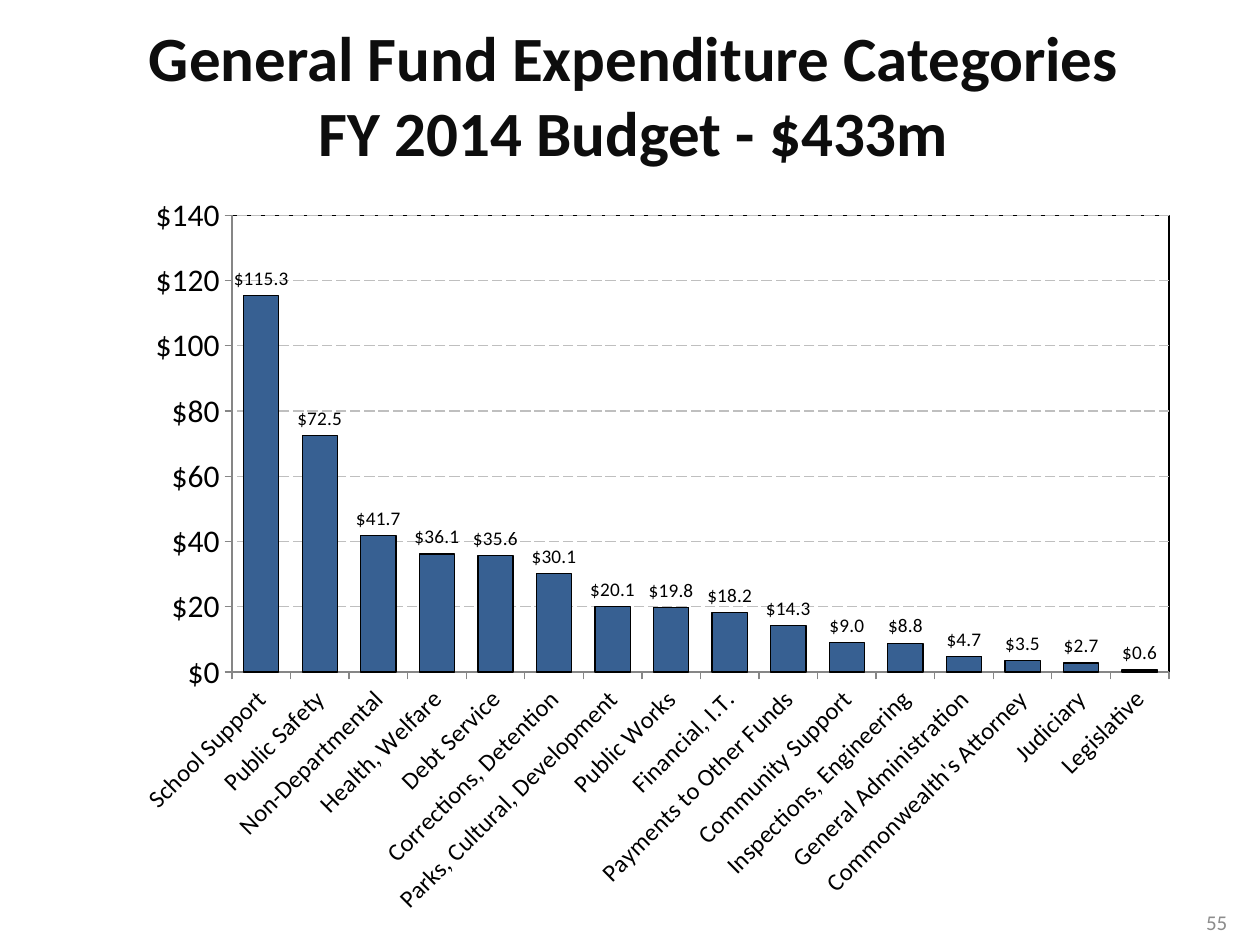
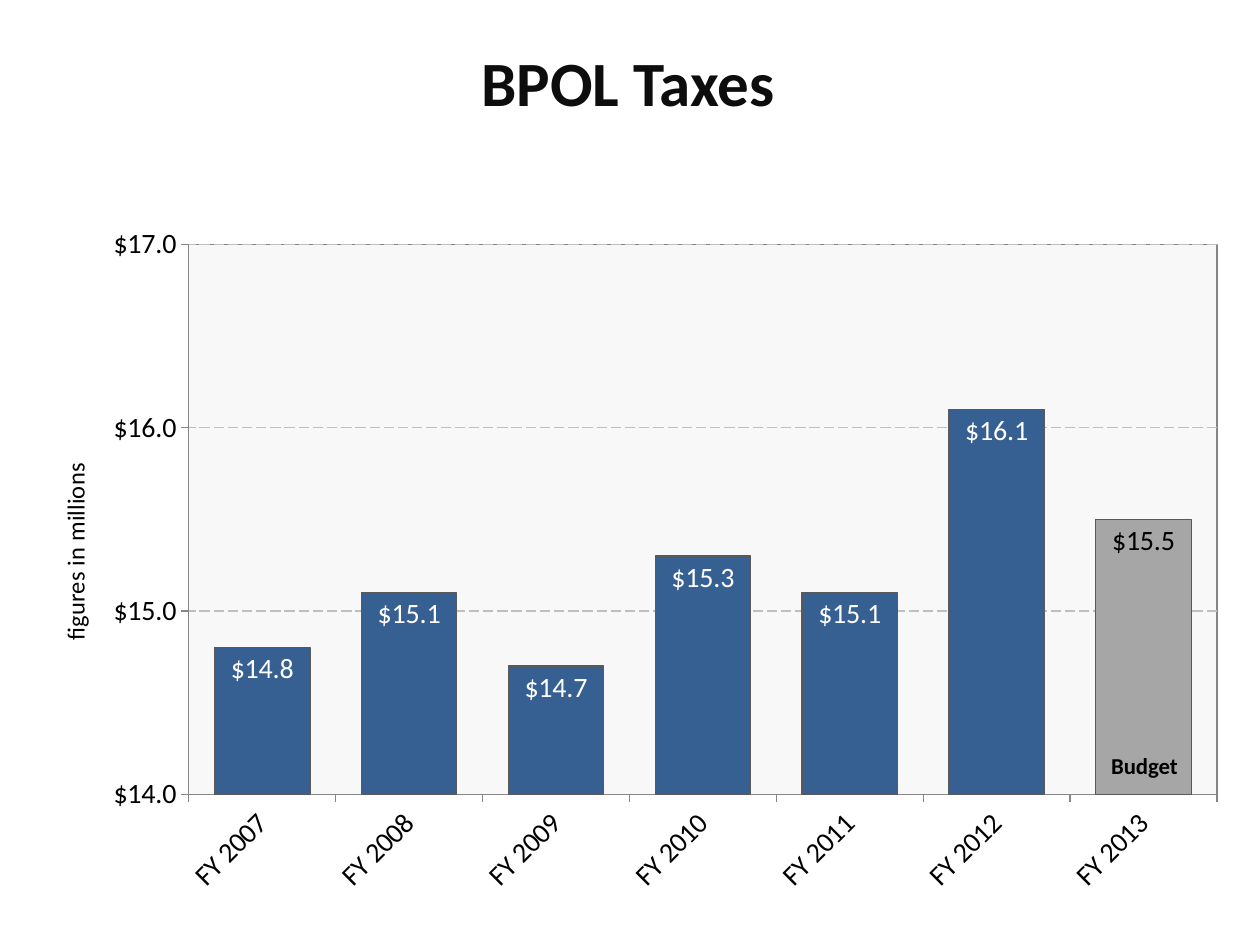
from lxml.etree import SubElement
from pptx import Presentation
from pptx.chart.data import CategoryChartData
from pptx.dml.color import RGBColor
from pptx.dml.fill import FillFormat
from pptx.dml.line import LineFormat
from pptx.enum.chart import XL_CHART_TYPE, XL_LABEL_POSITION, XL_TICK_MARK
from pptx.enum.dml import MSO_LINE
from pptx.enum.text import MSO_ANCHOR, PP_ALIGN
from pptx.oxml.ns import qn
from pptx.util import Inches, Pt

FONT = "Calibri"
BLACK = "000000"
WHITE = "FFFFFF"
TITLE_COLOR = "0D0D0D"
BAR_BLUE = "376092"
BUDGET_GRAY = "A6A6A6"
BAR_OUTLINE = "595959"
GRID_GRAY = "BFBFBF"
AXIS_GRAY = "868686"
PLOT_GRAY = "F8F8F8"
NUMBER_GRAY = "8C8C8C"
WHOLE_DOLLARS = '"$"#,##0'
DOLLARS = '"$"#,##0.0'

EXPENDITURES = {
    "School Support": 115.3,
    "Public Safety": 72.5,
    "Non-Departmental": 41.7,
    "Health, Welfare": 36.1,
    "Debt Service": 35.6,
    "Corrections, Detention": 30.1,
    "Parks, Cultural, Development": 20.1,
    "Public Works": 19.8,
    "Financial, I.T.": 18.2,
    "Payments to Other Funds": 14.3,
    "Community Support": 9,
    "Inspections, Engineering": 8.8,
    "General Administration": 4.7,
    "Commonwealth's Attorney": 3.5,
    "Judiciary": 2.7,
    "Legislative": 0.6,
}
BPOL_TAXES = {
    "FY 2007": 14.8,
    "FY 2008": 15.1,
    "FY 2009": 14.7,
    "FY 2010": 15.3,
    "FY 2011": 15.1,
    "FY 2012": 16.1,
    "FY 2013": 15.5,
}


def rgb(value):
    return RGBColor.from_string(value)


def style_font(font, size, color=BLACK, bold=False):
    font.name = FONT
    font.size = Pt(size)
    font.bold = bold
    font.color.rgb = rgb(color)


def style_line(line, color, width=0.75):
    line.color.rgb = rgb(color)
    line.width = Pt(width)


def place(shape, left, top, width, height):
    shape.left, shape.top = Inches(left), Inches(top)
    shape.width, shape.height = Inches(width), Inches(height)


def write(shape, text, size, color, bold=False, align=PP_ALIGN.LEFT, anchor=MSO_ANCHOR.TOP):
    frame = shape.text_frame
    frame.text = text
    frame.word_wrap = False
    frame.vertical_anchor = anchor
    for para in frame.paragraphs:
        para.alignment = align
        for span in para.runs:
            style_font(span.font, size, color, bold)


def add_page(deck, title, area):
    page = deck.slides.add_slide(deck.slide_layouts[5])
    place(page.shapes.title, *area)
    write(page.shapes.title, title, 36, TITLE_COLOR, True, PP_ALIGN.CENTER, MSO_ANCHOR.MIDDLE)
    return page


def add_label(page, text, area, *style):
    box = page.shapes.add_textbox(*map(Inches, area))
    write(box, text, *style)


def set_layout(parent, **settings):
    layout = parent.find(qn("c:layout"))
    if layout is None:
        layout = SubElement(parent, qn("c:layout"))
        parent.insert(0, layout)
    manual = SubElement(layout, qn("c:manualLayout"))
    for name, value in settings.items():
        SubElement(manual, qn(f"c:{name}")).set("val", str(value))


def style_plot_area(chart, position, border, fill=None):
    area = chart._chartSpace.chart.plotArea
    left, top, width, height = position
    set_layout(area, layoutTarget="inner", xMode="edge", yMode="edge",
               x=left, y=top, w=width, h=height)
    properties = SubElement(area, qn("c:spPr"))
    background = FillFormat.from_fill_parent(properties)
    if fill:
        background.solid()
        background.fore_color.rgb = rgb(fill)
    else:
        background.background()
    outline = SubElement(properties, qn("a:ln"))
    outline.set("w", str(Pt(0.75)))
    color = SubElement(SubElement(outline, qn("a:solidFill")), qn("a:srgbClr"))
    color.set("val", border)


def style_axis(axis, size):
    axis.major_tick_mark = XL_TICK_MARK.OUTSIDE
    axis.minor_tick_mark = XL_TICK_MARK.NONE
    style_line(axis.format.line, AXIS_GRAY)
    style_font(axis.tick_labels.font, size)


def style_axes(chart, category_size, value_size, number_format, low, high, step):
    categories, values = chart.category_axis, chart.value_axis
    style_axis(categories, category_size)
    style_axis(values, value_size)
    categories._element.find(qn("c:txPr")).find(qn("a:bodyPr")).set("rot", "-2700000")
    values.minimum_scale, values.maximum_scale = low, high
    values.major_unit = step
    values.tick_labels.number_format = number_format
    values.tick_labels.number_format_is_linked = False
    values.has_major_gridlines = True
    style_line(values.major_gridlines.format.line, GRID_GRAY)
    values.major_gridlines.format.line.dash_style = MSO_LINE.LONG_DASH


def add_column_chart(page, figures, area, gap, outline):
    data = CategoryChartData(number_format=DOLLARS)
    data.categories = figures.keys()
    data.add_series("Series 1", figures.values())
    frame = page.shapes.add_chart(XL_CHART_TYPE.COLUMN_CLUSTERED, *map(Inches, area), data)
    chart = frame.chart
    chart.has_legend = False
    chart.has_title = False
    style_font(chart.font, 18)
    plot = chart.plots[0]
    plot.gap_width = gap
    plot.vary_by_categories = False
    series = plot.series[0]
    paint(series, BAR_BLUE, outline)
    return chart


def paint(bar, fill, outline):
    bar.format.fill.solid()
    bar.format.fill.fore_color.rgb = rgb(fill)
    style_line(bar.format.line, outline)


def label_values(series, size, color, position):
    labels = series.data_labels
    labels.show_value = True
    labels.number_format = DOLLARS
    labels.number_format_is_linked = False
    labels.position = position
    style_font(labels.font, size, color)


def add_axis_title(axis, text):
    axis.has_title = True
    axis.axis_title.text_frame.text = text
    style_font(axis.axis_title.text_frame.paragraphs[0].runs[0].font, 14)
    axis.axis_title.text_frame._txBody.bodyPr.set("rot", "-5400000")
    set_layout(axis.axis_title._element, xMode="edge", yMode="edge", x=0.01, y=0.37)


def highlight_budget(series, index):
    point = series.points[index]
    paint(point, BUDGET_GRAY, BAR_OUTLINE)
    style_font(point.data_label.font, 16)
    point.data_label.position = XL_LABEL_POSITION.INSIDE_END


def build_expenditures(deck):
    title = "General Fund Expenditure Categories\nFY 2014 Budget - $433m"
    page = add_page(deck, title, (1.04, 0.09, 7.98, 1.31))
    chart = add_column_chart(page, EXPENDITURES, (0.89, 1.39, 8.49, 6.36), 66, BLACK)
    style_axes(chart, 14, 18, WHOLE_DOLLARS, 0, 140, 20)
    style_plot_area(chart, (0.112, 0.05, 0.876, 0.57), BLACK)
    label_values(chart.plots[0].series[0], 11, BLACK, XL_LABEL_POSITION.OUTSIDE_END)
    add_label(page, "55", (7.51, 7.12, 2.33, 0.4), 12, NUMBER_GRAY, False,
              PP_ALIGN.RIGHT, MSO_ANCHOR.MIDDLE)


def build_taxes(deck):
    page = add_page(deck, "BPOL Taxes", (3.71, 0.29, 2.55, 0.71))
    chart = add_column_chart(page, BPOL_TAXES, (0.33, 1.42, 9.5, 6), 54, BAR_OUTLINE)
    style_axes(chart, 16, 16, DOLLARS, 14, 17, 1)
    style_plot_area(chart, (0.123, 0.087, 0.859, 0.727), AXIS_GRAY, PLOT_GRAY)
    add_axis_title(chart.value_axis, "figures in millions")
    series = chart.plots[0].series[0]
    label_values(series, 16, WHITE, XL_LABEL_POSITION.INSIDE_END)
    highlight_budget(series, len(BPOL_TAXES) - 1)
    add_label(page, "Budget", (8.72, 5.92, 1, 0.35), 13, BLACK, True)


def main():
    deck = Presentation()
    deck.slide_width, deck.slide_height = Inches(10), Inches(7.5)
    build_expenditures(deck)
    build_taxes(deck)
    deck.save("out.pptx")


if __name__ == "__main__":
    main()
